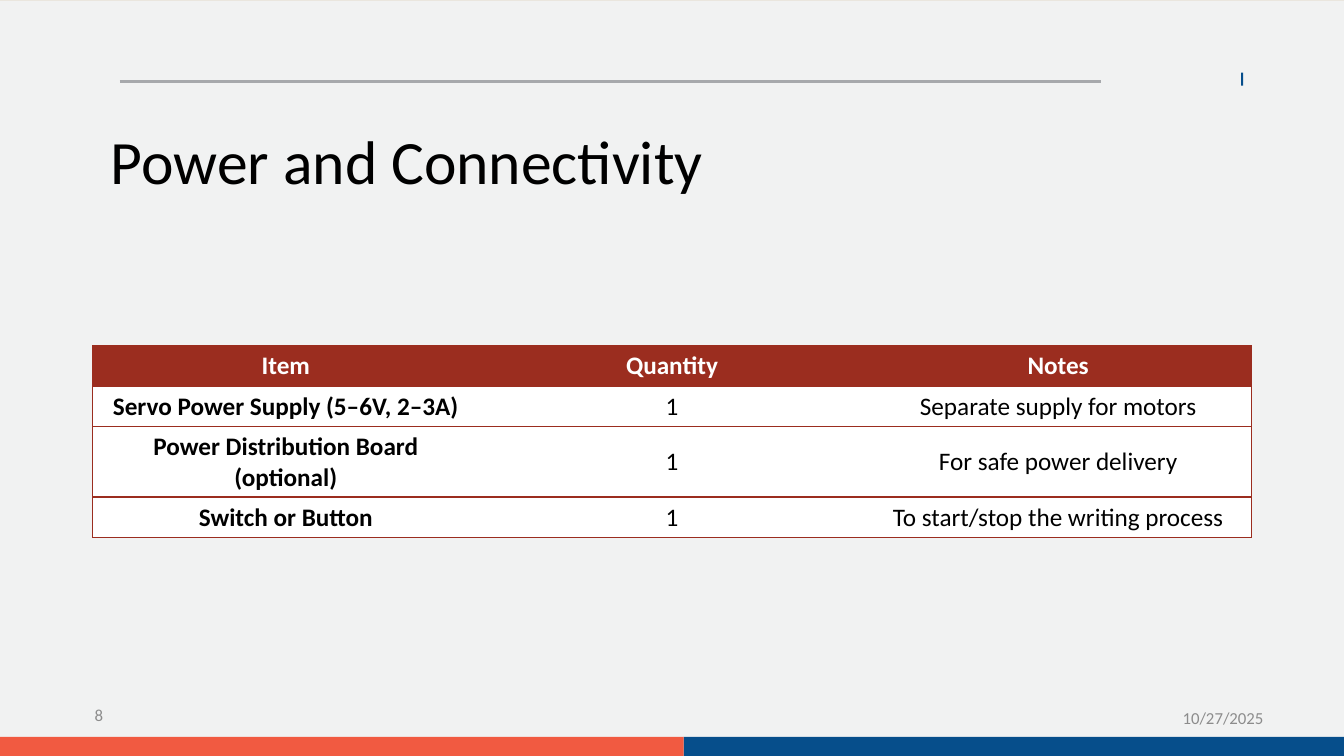
from dataclasses import dataclass

from lxml import etree
from pptx import Presentation
from pptx.dml.color import RGBColor
from pptx.enum.shapes import MSO_CONNECTOR, MSO_SHAPE
from pptx.enum.text import MSO_ANCHOR, PP_ALIGN
from pptx.oxml.ns import qn
from pptx.util import Inches, Pt

RECTANGLE = MSO_SHAPE.RECTANGLE
STRAIGHT = MSO_CONNECTOR.STRAIGHT
TOP, MIDDLE = MSO_ANCHOR.TOP, MSO_ANCHOR.MIDDLE
LEFT, CENTER, RIGHT = PP_ALIGN.LEFT, PP_ALIGN.CENTER, PP_ALIGN.RIGHT


@dataclass(frozen=True)
class Theme:
    font: str = "Calibri"
    background: str = "E9E5DC"
    panel: str = "F1F2F2"
    blue: str = "064E8B"
    coral: str = "F15A41"
    rule: str = "A7A9AC"
    footer: str = "8C8C8C"
    brick: str = "9B2D1F"
    white: str = "FFFFFF"
    black: str = "000000"
    title_size: float = 44
    table_size: float = 18
    footer_size: float = 12
    rule_width: float = 2.25
    border_width: float = 1


THEME = Theme()


@dataclass(frozen=True)
class Box:
    left: float
    top: float
    width: float
    height: float

    def lengths(self):
        return [Inches(n) for n in (self.left, self.top, self.width, self.height)]


@dataclass(frozen=True)
class Block:
    box: Box
    color: str


@dataclass(frozen=True)
class Label:
    text: str
    box: Box
    size: float
    color: str
    align: PP_ALIGN = LEFT
    anchor: MSO_ANCHOR = MIDDLE
    line_spacing: float = 1.0


BLOCKS = [
    Block(Box(0, 0.01, 13.33, 7.49), THEME.panel),
    Block(Box(12.31, 0.72, 0.02, 0.13), THEME.blue),
    Block(Box(6.78, 7.31, 6.55, 0.19), THEME.blue),
    Block(Box(0, 7.31, 6.78, 0.19), THEME.coral),
]

LABELS = [
    Label("10/27/2025", Box(11.63, 6.9, 1.19, 0.44), THEME.footer_size, THEME.footer),
    Label("8", Box(0, 6.88, 1.12, 0.43), THEME.footer_size, THEME.footer, RIGHT),
    Label("Power and Connectivity", Box(1, 1.25, 11.5, 1.45), THEME.title_size,
          THEME.black, anchor=TOP, line_spacing=0.9),
]

TABLE_BOX = Box(0.92, 3.43, 11.49, 1.92)
ROW_HEIGHTS = [0.4, 0.4, 0.7, 0.4]
PARTS = [
    ("Item", "Quantity", "Notes"),
    ("Servo Power Supply (5–6V, 2–3A)", "1", "Separate supply for motors"),
    ("Power Distribution Board (optional)", "1", "For safe power delivery"),
    ("Switch or Button", "1", "To start/stop the writing process"),
]


def rgb(color: str) -> RGBColor:
    return RGBColor.from_string(color)


def add_run(paragraph, text: str, size: float, color: str, bold: bool = False) -> None:
    run = paragraph.add_run()
    run.text = text
    run.font.name = THEME.font
    run.font.size = Pt(size)
    run.font.bold = bold
    run.font.color.rgb = rgb(color)


def draw_block(slide, block: Block) -> None:
    shape = slide.shapes.add_shape(RECTANGLE, *block.box.lengths())
    shape.shadow.inherit = False
    shape.fill.solid()
    shape.fill.fore_color.rgb = rgb(block.color)
    shape.line.fill.background()


def draw_rule(slide, left: float, right: float, top: float) -> None:
    connector = slide.shapes.add_connector(
        STRAIGHT, Inches(left), Inches(top), Inches(right), Inches(top))
    connector.line.color.rgb = rgb(THEME.rule)
    connector.line.width = Pt(THEME.rule_width)
    etree.SubElement(connector._element.spPr, qn("a:effectLst"))


def draw_label(slide, label: Label) -> None:
    frame = slide.shapes.add_textbox(*label.box.lengths()).text_frame
    frame.word_wrap = True
    frame.vertical_anchor = label.anchor
    paragraph = frame.paragraphs[0]
    paragraph.alignment = label.align
    paragraph.line_spacing = label.line_spacing
    add_run(paragraph, label.text, label.size, label.color)


def set_borders(cell, visible_sides: str) -> None:
    properties = cell._tc.get_or_add_tcPr()
    for side in "LRTB":
        line = etree.SubElement(properties, qn(f"a:ln{side}"),
                                w=str(Pt(THEME.border_width)))
        if side in visible_sides:
            fill = etree.SubElement(line, qn("a:solidFill"))
            etree.SubElement(fill, qn("a:srgbClr"), val=THEME.brick)
        else:
            etree.SubElement(line, qn("a:noFill"))


def draw_table(slide, rows: list[tuple[str, ...]]) -> None:
    column_count = len(rows[0])
    table = slide.shapes.add_table(
        len(rows), column_count, *TABLE_BOX.lengths()).table
    for column in table.columns:
        column.width = Inches(TABLE_BOX.width / column_count)
    for row, height in zip(table.rows, ROW_HEIGHTS):
        row.height = Inches(height)

    for row_index, texts in enumerate(rows):
        header = row_index == 0
        for column_index, text in enumerate(texts):
            first, last = column_index == 0, column_index == column_count - 1
            cell = table.cell(row_index, column_index)
            # Horizontal rules everywhere, vertical ones only on the outside
            set_borders(cell, "TB" + "L" * first + "R" * last)
            cell.fill.solid()
            cell.fill.fore_color.rgb = rgb(THEME.brick if header else THEME.white)
            cell.vertical_anchor = MIDDLE
            paragraph = cell.text_frame.paragraphs[0]
            paragraph.alignment = CENTER
            add_run(paragraph, text, THEME.table_size,
                    THEME.white if header else THEME.black, header or first)


def main() -> None:
    presentation = Presentation()
    presentation.slide_width = Inches(13.33)
    presentation.slide_height = Inches(7.5)
    slide = presentation.slides.add_slide(presentation.slide_layouts[6])
    slide.background.fill.solid()
    slide.background.fill.fore_color.rgb = rgb(THEME.background)

    # Panel, accent tick and footer bars
    for block in BLOCKS:
        draw_block(slide, block)
    draw_rule(slide, 1.19, 10.92, 0.81)

    # Footer and title
    for label in LABELS:
        draw_label(slide, label)

    # Parts list
    draw_table(slide, PARTS)
    presentation.save("out.pptx")


if __name__ == "__main__":
    main()
